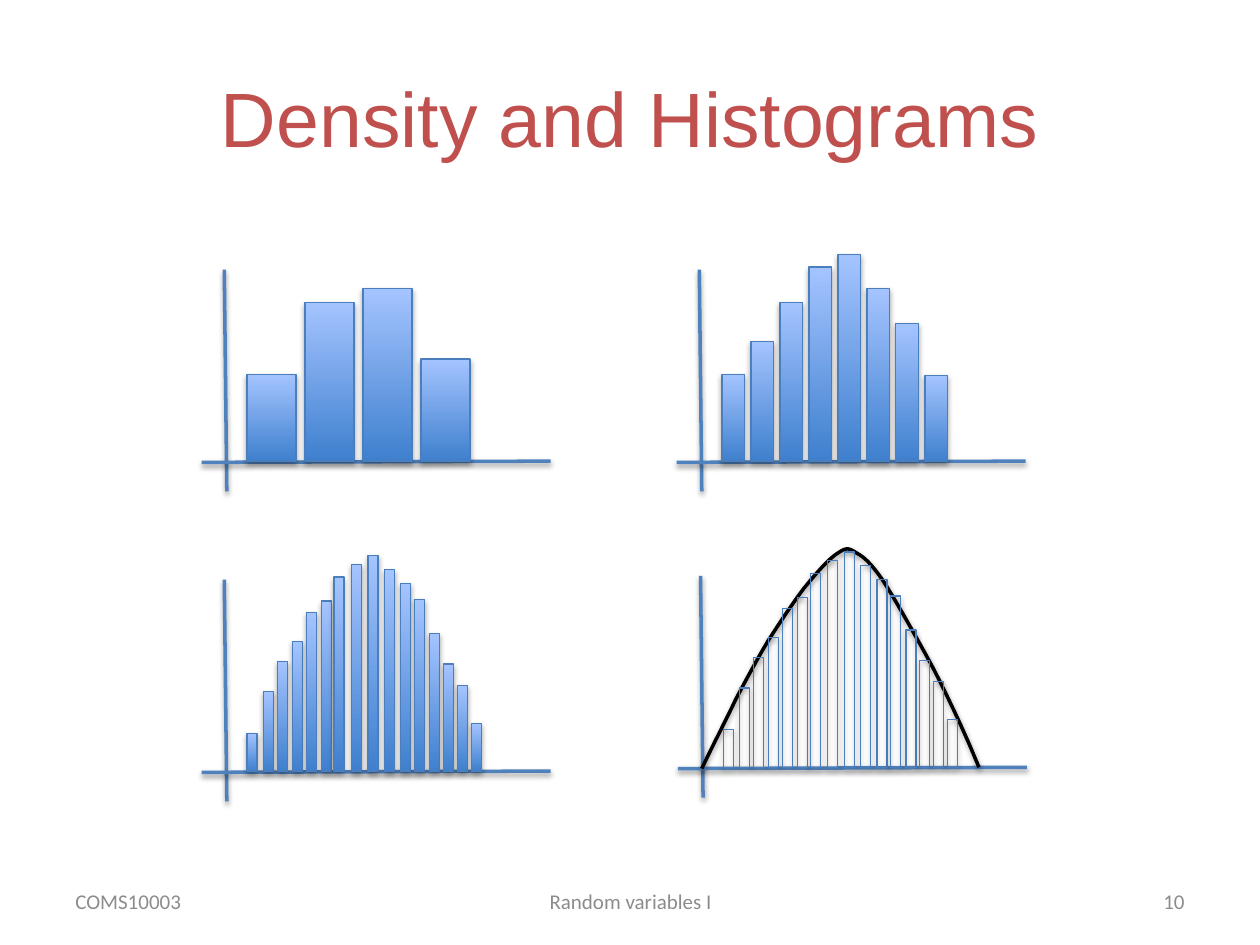
import pptx
import pptx.util
import pptx.dml.color
import pptx.enum.shapes
import pptx.enum.text
import pptx.oxml

Inches = pptx.util.Inches
Pt = pptx.util.Pt
RGBColor = pptx.dml.color.RGBColor
Align = pptx.enum.text.PP_ALIGN
Anchor = pptx.enum.text.MSO_ANCHOR

TITLE_RED = RGBColor(0xC0, 0x50, 0x4D)
FOOTER_GRAY = RGBColor(0x8C, 0x8C, 0x8C)
AXIS_BLUE = RGBColor(0x4F, 0x81, 0xBD)
BAR_EDGE = RGBColor(0x4B, 0x7E, 0xBC)
BAR_BOTTOM = RGBColor(0x3F, 0x80, 0xCE)
BAR_TOP = RGBColor(0xA4, 0xC4, 0xFF)
BLACK = RGBColor(0, 0, 0)

# Lengths in inches, measured from a panel's left edge and the top of its axis
BASELINE = 1.52
FIRST_BAR = 0.36
COARSE_HEIGHTS = [0.69, 1.26, 1.37, 0.81]
MEDIUM_HEIGHTS = [0.69, 0.95, 1.26, 1.54, 1.64, 1.37, 1.09, 0.68]
FINE_LEFTS = [0.36, 0.49, 0.6, 0.72, 0.83, 0.95, 1.05, 1.19,
              1.32, 1.45, 1.58, 1.69, 1.81, 1.92, 2.03, 2.14]
FINE_HEIGHTS = [0.3, 0.63, 0.87, 1.03, 1.26, 1.35, 1.54, 1.64,
                1.71, 1.6, 1.49, 1.36, 1.09, 0.85, 0.68, 0.38]

# Density curve: start point, then two control points and an end per segment
CURVE_START = (0.19, 1.53)
CURVE_SEGMENTS = [
    ((0.28, 1.34), (0.38, 1.15), (0.46, 0.98)),
    ((0.55, 0.81), (0.63, 0.66), (0.72, 0.51)),
    ((0.81, 0.37), (0.91, 0.22), (1.0, 0.1)),
    ((1.09, -0.01), (1.2, -0.14), (1.27, -0.18)),
    ((1.34, -0.23), (1.36, -0.22), (1.42, -0.18)),
    ((1.48, -0.15), (1.54, -0.09), (1.63, 0.04)),
    ((1.72, 0.18), (1.86, 0.43), (1.96, 0.61)),
    ((2.06, 0.79), (2.15, 0.98), (2.22, 1.13)),
    ((2.29, 1.28), (2.34, 1.4), (2.39, 1.52)),
]
CURVE_STEPS = 8


def evenly_spaced(count, pitch):
    return [FIRST_BAR + index * pitch for index in range(count)]


def style_line(shape, color, width):
    shape.line.color.rgb = color
    shape.line.width = Pt(width)


def add_shadow(shape, distance, opacity):
    """Soft black shadow falling straight down."""
    namespace = "http://schemas.openxmlformats.org/drawingml/2006/main"
    shape.element.spPr.append(pptx.oxml.parse_xml(
        f'<a:effectLst xmlns:a="{namespace}">'
        f'<a:outerShdw blurRad="{Pt(3.1)}" dist="{Pt(distance)}" '
        'dir="5400000" rotWithShape="0"><a:srgbClr val="000000">'
        f'<a:alpha val="{opacity * 1000}"/></a:srgbClr></a:outerShdw>'
        '</a:effectLst>'))


def add_title(page, text, left, top, width, height):
    title = page.shapes.title
    title.left, title.top = Inches(left), Inches(top)
    title.width, title.height = Inches(width), Inches(height)
    title.text_frame.text = text
    title.text_frame.vertical_anchor = Anchor.MIDDLE
    para = title.text_frame.paragraphs[0]
    para.alignment = Align.CENTER
    para.font.name = "Arial"
    para.font.size = Pt(44)
    para.font.color.rgb = TITLE_RED


def add_footer(page, top, height):
    entries = [("COMS10003", 0.5, 2.33, Align.LEFT),
               ("Random variables I", 3.42, 3.17, Align.CENTER),
               ("10", 7.17, 2.33, Align.RIGHT)]
    for text, left, width, alignment in entries:
        box = page.shapes.add_textbox(
            Inches(left), Inches(top), Inches(width), Inches(height))
        frame = box.text_frame
        frame.word_wrap = True
        frame.vertical_anchor = Anchor.MIDDLE
        frame.text = text
        para = frame.paragraphs[0]
        para.alignment = alignment
        para.font.name = "Calibri"
        para.font.size = Pt(12)
        para.font.color.rgb = FOOTER_GRAY


def add_axes(panel, left, top):
    for start_x, start_y, end_x, end_y in [(0.18, 0, 0.2, 1.76),
                                           (0, 1.53, 2.77, 1.52)]:
        axis = panel.shapes.add_connector(
            pptx.enum.shapes.MSO_CONNECTOR.STRAIGHT,
            Inches(left + start_x), Inches(top + start_y),
            Inches(left + end_x), Inches(top + end_y))
        style_line(axis, AXIS_BLUE, 2)
        add_shadow(axis, 1.6, 38)


def add_bars(panel, left, top, lefts, heights, bar_width, filled):
    for bar_left, height in zip(lefts, heights):
        bar = panel.shapes.add_shape(
            pptx.enum.shapes.MSO_SHAPE.RECTANGLE,
            Inches(left + bar_left), Inches(top + BASELINE - height),
            Inches(bar_width), Inches(height))
        if filled:
            bar.fill.gradient()
            bar.fill.gradient_angle = 90
            for stop, color, position in zip(bar.fill.gradient_stops,
                                             (BAR_BOTTOM, BAR_TOP), (0, 1)):
                stop.color.rgb = color
                stop.position = position
        else:
            bar.fill.background()
        style_line(bar, BAR_EDGE, 0.75)
        add_shadow(bar, 1.8, 35)


def curve_points():
    """Points along the cubic segments, after the start point."""
    start = CURVE_START
    for first, second, end in CURVE_SEGMENTS:
        for step in range(1, CURVE_STEPS + 1):
            t = step / CURVE_STEPS
            u = 1 - t
            yield tuple(u**3 * a + 3 * u**2 * t * b + 3 * u * t**2 * c + t**3 * d
                        for a, b, c, d in zip(start, first, second, end))
        start = end


def add_density_curve(panel, left, top):
    builder = panel.shapes.build_freeform(
        Inches(left + CURVE_START[0]), Inches(top + CURVE_START[1]))
    builder.add_line_segments(
        [(Inches(left + x), Inches(top + y)) for x, y in curve_points()],
        close=False)
    curve = builder.convert_to_shape()
    curve.fill.background()
    style_line(curve, BLACK, 2)
    add_shadow(curve, 1.6, 38)


def add_histogram(page, left, top, lefts, heights, bar_width, density=False):
    panel = page.shapes.add_group_shape()
    add_axes(panel, left, top)
    if density:
        add_density_curve(panel, left, top)
    add_bars(panel, left, top, lefts, heights, bar_width, filled=not density)


def main():
    deck = pptx.Presentation()
    deck.slide_width, deck.slide_height = Inches(10), Inches(7.5)
    page = deck.slides.add_slide(deck.slide_layouts[5])

    add_title(page, "Density and Histograms", 0.5, 0.3, 9, 1.25)
    add_footer(page, 6.95, 0.4)

    # Ever narrower bars, ending in the density itself
    add_histogram(page, 1.6, 2.14, evenly_spaced(4, 0.46), COARSE_HEIGHTS, 0.39)
    add_histogram(page, 5.37, 2.14, evenly_spaced(8, 0.23), MEDIUM_HEIGHTS, 0.18)
    add_histogram(page, 1.6, 4.6, FINE_LEFTS, FINE_HEIGHTS, 0.08)
    add_histogram(page, 5.38, 4.57, FINE_LEFTS, FINE_HEIGHTS, 0.08, density=True)

    deck.save("out.pptx")


if __name__ == "__main__":
    main()
